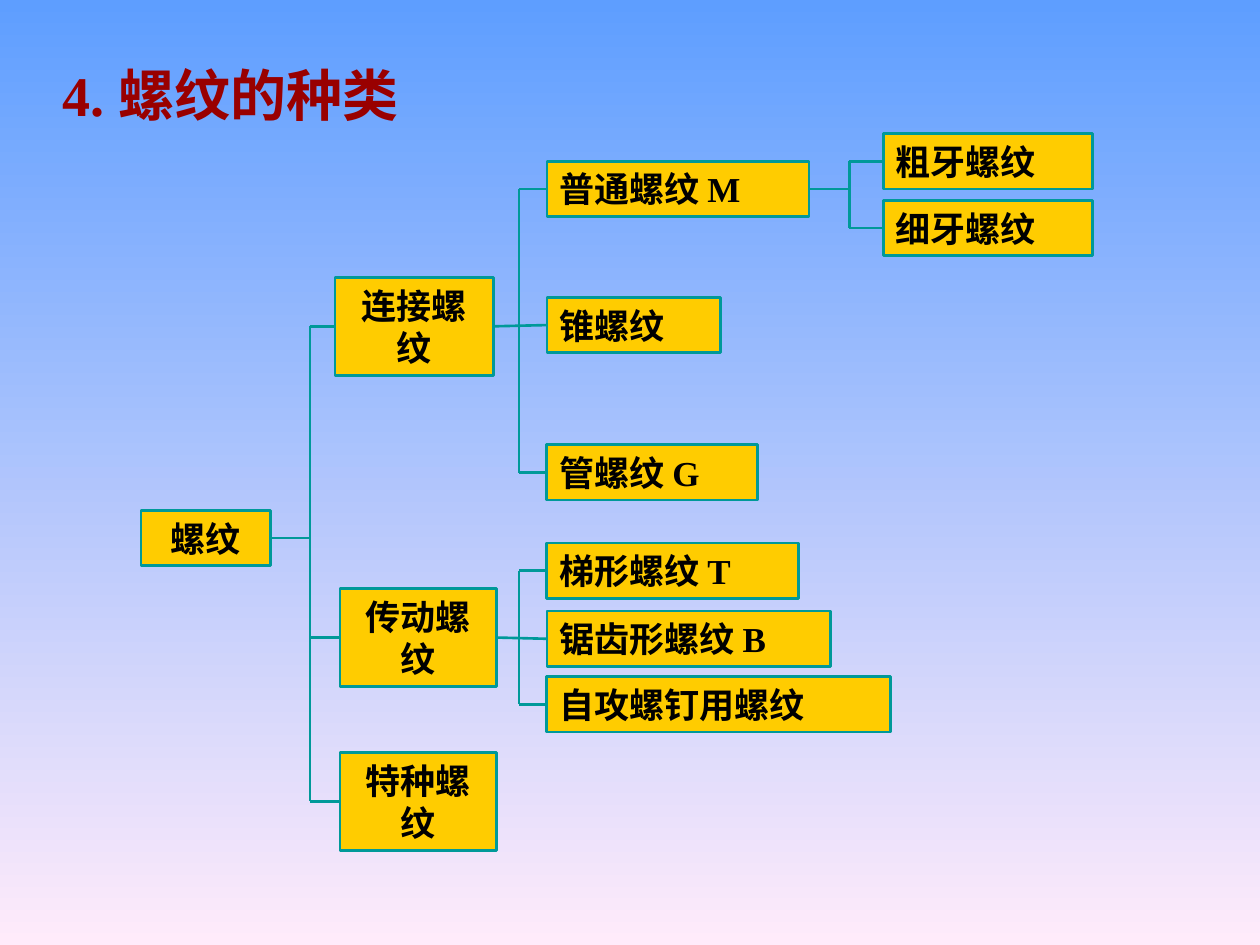
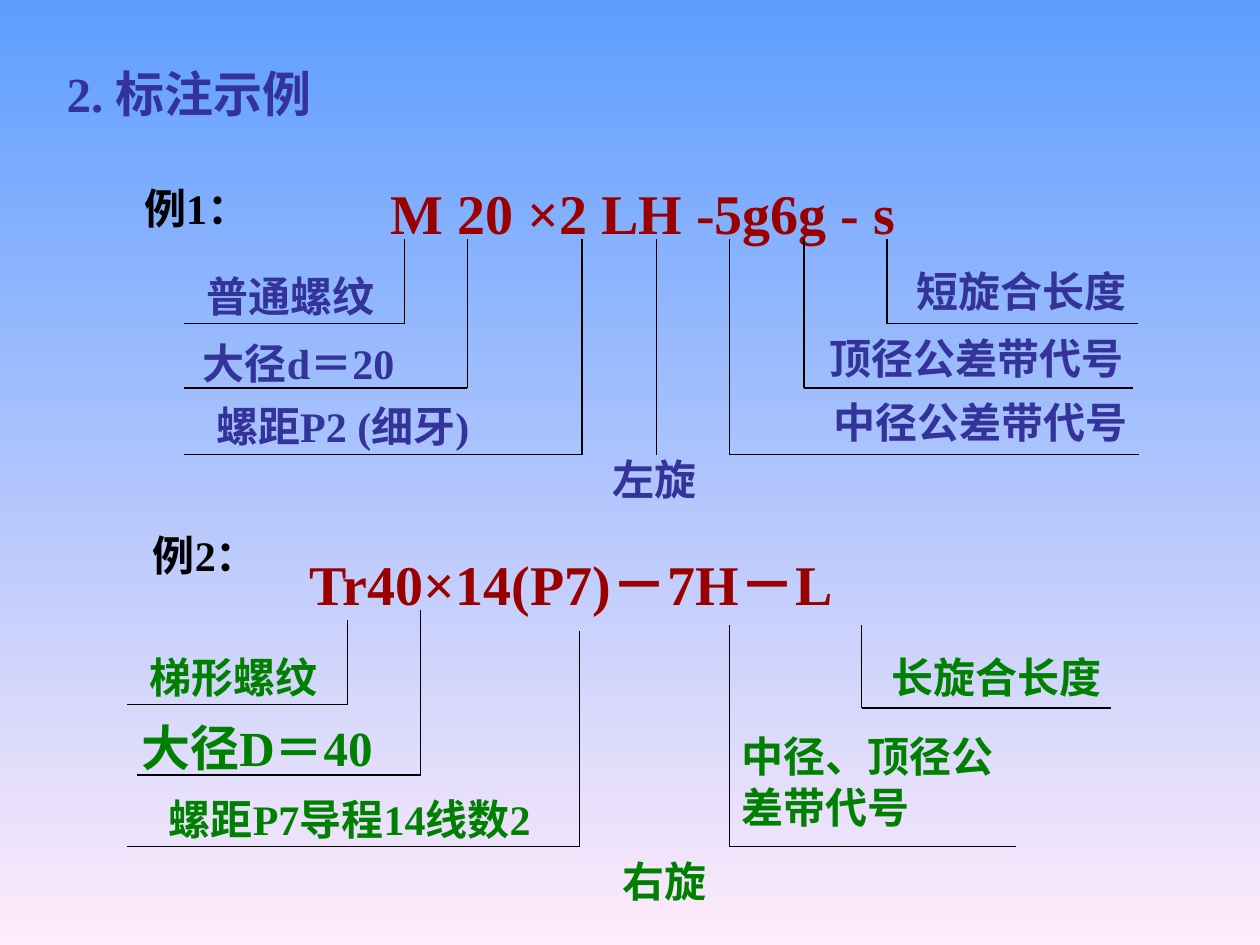
from lxml import etree
from pptx import Presentation
from pptx.dml.color import RGBColor
from pptx.enum.shapes import MSO_CONNECTOR, MSO_SHAPE
from pptx.enum.text import MSO_ANCHOR, PP_ALIGN
from pptx.oxml.ns import qn
from pptx.util import Inches, Pt

LATIN, HAN = "Times New Roman", "Noto Sans CJK SC"
HEX = {"sky": "5E9EFF", "pink": "FFEBFA", "red": "990000", "blue": "333399",
       "green": "008000", "black": "000000", "gold": "FFCC00", "teal": "009999"}
LEFT, MID = PP_ALIGN.LEFT, PP_ALIGN.CENTER

# Slide 1: text, left, top, width, height, alignment
HEAD = ("4. 螺纹的种类", 0.4, 0.46, 3.29, 0.57)
COL, LOW, TALL = 4.34, 0.44, 0.78
NODES = {
    "root": ("螺纹", 1.12, 4.05, 1.03, LOW, MID),
    "join": ("连接螺纹", 2.66, 2.2, 1.26, TALL, MID),
    "drive": ("传动螺纹", 2.7, 4.67, 1.24, TALL, MID),
    "special": ("特种螺纹", 2.7, 5.97, 1.24, TALL, MID),
    "plain": ("普通螺纹 M", COL, 1.28, 2.08, LOW, LEFT),
    "cone": ("锥螺纹", COL, 2.36, 1.38, LOW, LEFT),
    "pipe": ("管螺纹 G", COL, 3.53, 1.67, LOW, LEFT),
    "trap": ("梯形螺纹 T", COL, 4.31, 2, LOW, LEFT),
    "saw": ("锯齿形螺纹 B", COL, 4.85, 2.25, LOW, LEFT),
    "screw": ("自攻螺钉用螺纹", COL, 5.37, 2.73, LOW, LEFT),
    "coarse": ("粗牙螺纹", 7.01, 1.06, 1.66, LOW, LEFT),
    "fine": ("细牙螺纹", 7.01, 1.59, 1.66, LOW, LEFT),
}
# Parent, trunk position, children from top to bottom
FORKS = [
    ("root", 2.46, ["join", "drive", "special"]),
    ("join", 4.12, ["plain", "cone", "pipe"]),
    ("drive", 4.12, ["trap", "saw", "screw"]),
    ("plain", 6.74, ["coarse", "fine"]),
]

# Slide 2: text, left, top, width, height, size, colour, alignment
WORDS = [
    ("2. 标注示例", 0.43, 0.48, 2.48, 0.51, 28, "blue", LEFT),
    ("例1：", 0.9, 1.4, 1.32, 0.5, 24, "black", MID),
    ("M 20 ×2 LH -5g6g - s", 2.49, 1.36, 5.23, 0.64, 32, "red", MID),
    ("普通螺纹", 1.08, 2.1, 2.45, 0.5, 24, "blue", MID),
    ("大径d＝20", 0.99, 2.63, 2.76, 0.5, 24, "blue", MID),
    ("螺距P2 (细牙)", 1.21, 3.13, 3.02, 0.5, 24, "blue", MID),
    ("左旋", 4.6, 3.55, 1.19, 0.5, 24, "blue", MID),
    ("短旋合长度", 6.58, 2.06, 3.06, 0.5, 24, "blue", MID),
    ("顶径公差带代号", 6.06, 2.59, 3.38, 0.5, 24, "blue", MID),
    ("中径公差带代号", 6.22, 3.1, 3.12, 0.5, 24, "blue", MID),
    ("例2：", 0.97, 4.15, 1.32, 0.5, 24, "black", MID),
    ("Tr40×14(P7)－7H－L", 2.36, 4.31, 5.24, 0.63, 32, "red", LEFT),
    ("梯形螺纹", 0.63, 5.12, 2.45, 0.5, 24, "green", MID),
    ("大径D＝40", 0.66, 5.64, 2.76, 0.57, 28, "green", MID),
    ("螺距P7导程14线数2", 0.87, 6.25, 3.81, 0.5, 24, "green", MID),
    ("右旋", 4.82, 6.74, 0.91, 0.5, 24, "green", MID),
    ("中径、顶径公差带代号", 5.79, 5.75, 2.21, 0.9, 24, "green", LEFT),
    ("长旋合长度", 6.38, 5.12, 3.06, 0.5, 24, "green", MID),
]
# Drop position, top, bottom, far end of the shelf (None: no shelf)
LEADS = [
    (3.21, 1.9, 2.57, 1.46), (3.71, 1.9, 3.08, 1.46),
    (4.62, 1.9, 3.61, 1.46), (5.21, 1.9, 3.61, None),
    (5.79, 1.9, 3.61, 9.04), (6.38, 1.9, 3.08, 8.99),
    (7.04, 1.9, 2.57, 9.03),
    (2.76, 4.92, 5.59, 1.01), (3.34, 4.84, 6.15, 1.09),
    (4.6, 5.01, 6.72, 1.01), (5.79, 4.96, 6.72, 8.06),
    (6.84, 4.96, 5.62, 8.82),
]


def tint(name):
    return RGBColor.from_string(HEX[name])


def new_page(deck):
    page = deck.slides.add_slide(deck.slide_layouts[6])
    fill = page.background.fill
    fill.gradient()
    fill.gradient_angle = 270
    for stop, spot, name in zip(fill.gradient_stops, (0, 1), ("sky", "pink")):
        stop.position = spot
        stop.color.rgb = tint(name)
    return page


def write(shape, text, size, name, align):
    frame = shape.text_frame
    frame.word_wrap = True
    frame.vertical_anchor = MSO_ANCHOR.MIDDLE
    frame.margin_left = frame.margin_right = Inches(0.1)
    frame.margin_top = frame.margin_bottom = Inches(0.04)
    para = frame.paragraphs[0]
    para.alignment = align
    run = para.add_run()
    run.text = text
    font = run.font
    font.name, font.size, font.bold = LATIN, Pt(size), True
    font.color.rgb = tint(name)
    latin = run._r.rPr.find(qn("a:latin"))
    east = etree.Element(qn("a:ea"), typeface=HAN)
    latin.addnext(east)


def label(page, text, x, y, w, h, size, name, align):
    box = page.shapes.add_textbox(*map(Inches, (x, y, w, h)))
    write(box, text, size, name, align)


def node(page, text, x, y, w, h, align):
    box = page.shapes.add_shape(MSO_SHAPE.RECTANGLE, *map(Inches, (x, y, w, h)))
    box.shadow.inherit = False
    box.fill.solid()
    box.fill.fore_color.rgb = tint("gold")
    box.line.color.rgb = tint("teal")
    box.line.width = Pt(1.5)
    write(box, text, 20, "black", align)
    return box


def rule(page, x1, y1, x2, y2, name="teal", width=1.5):
    line = page.shapes.add_connector(
        MSO_CONNECTOR.STRAIGHT, *map(Inches, (x1, y1, x2, y2)))
    line.line.color.rgb = tint(name)
    line.line.width = Pt(width)
    etree.SubElement(line._element.spPr, qn("a:effectLst"))
    return line


def fork(page, boxes, top, trunk, kids):
    def mid(key):
        _, _, y, _, h, _ = NODES[key]
        return y + h / 2

    _, x, _, w, _, _ = NODES[top]
    rule(page, trunk, mid(kids[0]), trunk, mid(kids[-1]))
    # A child level with its parent gets one line right through the trunk
    level = [kid for kid in kids if abs(mid(kid) - mid(top)) < 0.02]
    if not level:
        stem = rule(page, x + w, mid(top), trunk, mid(top))
        stem.begin_connect(boxes[top], 3)
    for kid in kids:
        arm = rule(page, trunk, mid(kid), NODES[kid][1], mid(kid))
        if kid in level:
            arm.begin_connect(boxes[top], 3)
        arm.end_connect(boxes[kid], 1)


def main():
    deck = Presentation()
    deck.slide_width, deck.slide_height = Inches(10), Inches(7.5)

    # Tree of thread kinds
    page = new_page(deck)
    label(page, *HEAD, 32, "red", LEFT)
    boxes = {key: node(page, *data) for key, data in NODES.items()}
    for data in FORKS:
        fork(page, boxes, *data)

    # Marking examples with leader lines
    page = new_page(deck)
    for data in WORDS:
        label(page, *data)
    for x, top, base, end in LEADS:
        rule(page, x, top, x, base, "black", 0.75)
        if end is not None:
            rule(page, x, base, end, base, "black", 0.75)

    deck.save("out.pptx")


if __name__ == "__main__":
    main()
